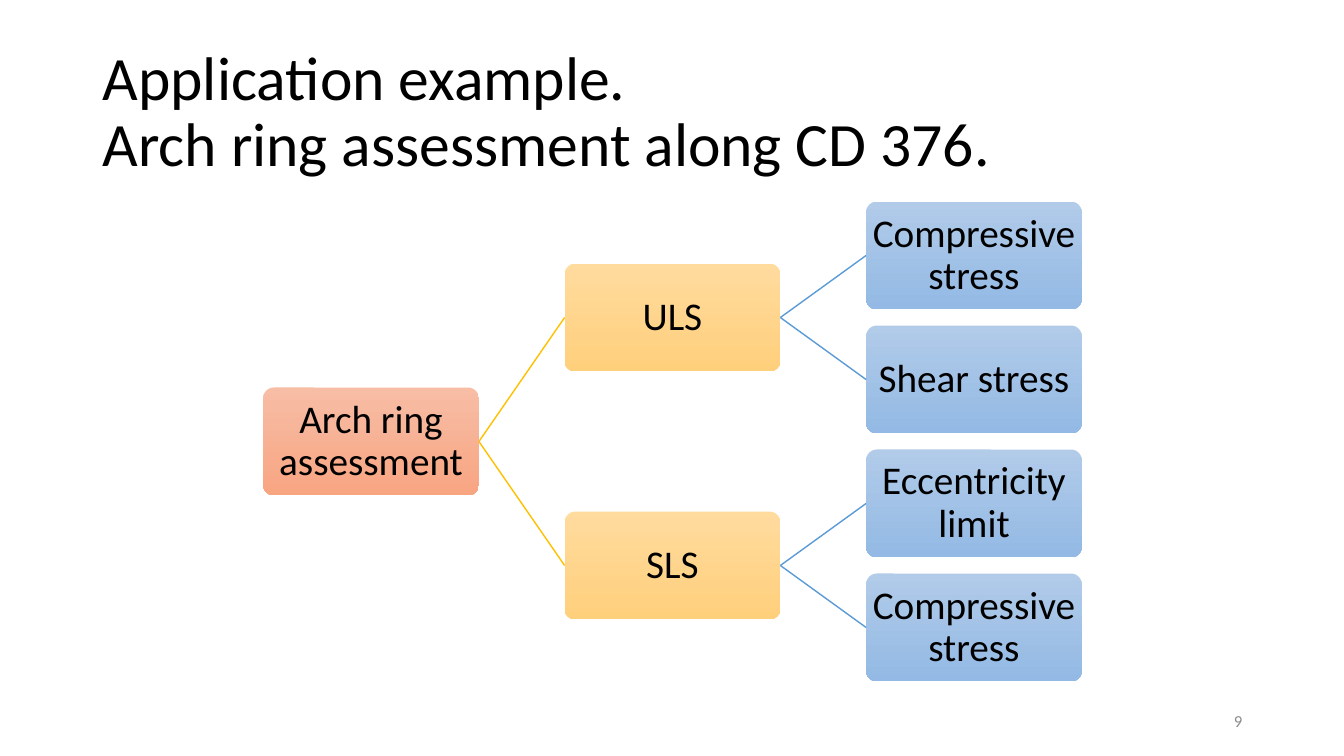
from lxml.etree import SubElement
from pptx import Presentation
from pptx.dml.color import RGBColor
from pptx.enum.shapes import MSO_CONNECTOR, MSO_SHAPE
from pptx.enum.text import MSO_ANCHOR, PP_ALIGN
from pptx.oxml.ns import qn
from pptx.util import Inches, Pt

FONT = "Calibri"
BLACK = RGBColor(0x00, 0x00, 0x00)
GREY = RGBColor(0x8C, 0x8C, 0x8C)
AMBER = RGBColor(0xFF, 0xC0, 0x00)
BLUE = RGBColor(0x5B, 0x9B, 0xD5)

# Top and bottom gradient colours of the boxes at each level
LEVEL_FILLS = [
    (RGBColor(0xF7, 0xBD, 0xA5), RGBColor(0xF8, 0xA5, 0x82)),
    (RGBColor(0xFF, 0xDB, 0x9E), RGBColor(0xFF, 0xD0, 0x7C)),
    (RGBColor(0xB1, 0xCB, 0xE9), RGBColor(0x93, 0xB9, 0xE4)),
]
# Colour of the lines that leave each level
BRANCH_COLOURS = [AMBER, BLUE]

TREE_LEFT, TREE_TOP = 2.61, 2.0
COLUMN_STEP, ROW_STEP = 2.99, 1.23
BOX_WIDTH, BOX_HEIGHT = 2.14, 1.07

ASSESSMENT = ("Arch ring assessment", [
    ("ULS", [("Compressive stress", []), ("Shear stress", [])]),
    ("SLS", [("Eccentricity limit", []), ("Compressive stress", [])]),
])


def write(shape, text, size, colour, align, line_spacing=1.0):
    frame = shape.text_frame
    frame.word_wrap = True
    frame.vertical_anchor = MSO_ANCHOR.MIDDLE
    frame.text = text
    para = frame.paragraphs[0]
    para.alignment = align
    para.line_spacing = line_spacing
    for span in para.runs:
        span.font.name = FONT
        span.font.size = Pt(size)
        span.font.color.rgb = colour


def add_text(page, left, top, width, height, *style):
    box = page.shapes.add_textbox(*map(Inches, (left, top, width, height)))
    write(box, *style)


def add_node(page, label, level, row):
    left = TREE_LEFT + level * COLUMN_STEP
    top = TREE_TOP + row * ROW_STEP
    node = page.shapes.add_shape(
        MSO_SHAPE.ROUNDED_RECTANGLE,
        *map(Inches, (left, top, BOX_WIDTH, BOX_HEIGHT)))
    node.adjustments[0] = 0.1
    node.shadow.inherit = False
    node.line.fill.background()
    node.fill.gradient()
    node.fill.gradient_angle = 270
    for stop, colour in zip(node.fill.gradient_stops, LEVEL_FILLS[level]):
        stop.color.rgb = colour
    frame = node.text_frame
    frame.margin_left = frame.margin_right = Inches(0.02)
    frame.margin_top = frame.margin_bottom = Inches(0.02)
    write(node, label, 28, BLACK, PP_ALIGN.CENTER, 0.9)


def add_branch(page, level, parent_row, child_row):
    """Join the right edge of a parent to the left edge of its child."""
    start = TREE_LEFT + level * COLUMN_STEP + BOX_WIDTH
    end = TREE_LEFT + (level + 1) * COLUMN_STEP
    start_y, end_y = (TREE_TOP + row * ROW_STEP + BOX_HEIGHT / 2
                      for row in (parent_row, child_row))
    branch = page.shapes.add_connector(
        MSO_CONNECTOR.STRAIGHT, *map(Inches, (start, start_y, end, end_y)))
    branch.line.color.rgb = BRANCH_COLOURS[level]
    branch.line.width = Pt(1)
    SubElement(branch._element.spPr, qn("a:effectLst"))


def add_tree(page, tree, leaf_rows, level=0):
    """Draw a tree with parents centred on their children; return its row."""
    label, children = tree
    child_rows = [add_tree(page, child, leaf_rows, level + 1)
                  for child in children]
    row = sum(child_rows) / len(child_rows) if children else next(leaf_rows)
    for child_row in child_rows:
        add_branch(page, level, row, child_row)
    add_node(page, label, level, row)
    return row


def main():
    deck = Presentation()
    deck.slide_width, deck.slide_height = Inches(13.33), Inches(7.5)
    page = deck.slides.add_slide(deck.slide_layouts[6])
    add_text(page, 0.92, 0.4, 11.5, 1.45,
             "Application example.\vArch ring assessment along CD 376.",
             44, BLACK, PP_ALIGN.LEFT, 0.9)
    add_tree(page, ASSESSMENT, iter(range(4)))
    add_text(page, 9.42, 6.95, 3, 0.4, "9", 12, GREY, PP_ALIGN.RIGHT)
    deck.save("out.pptx")


if __name__ == "__main__":
    main()
